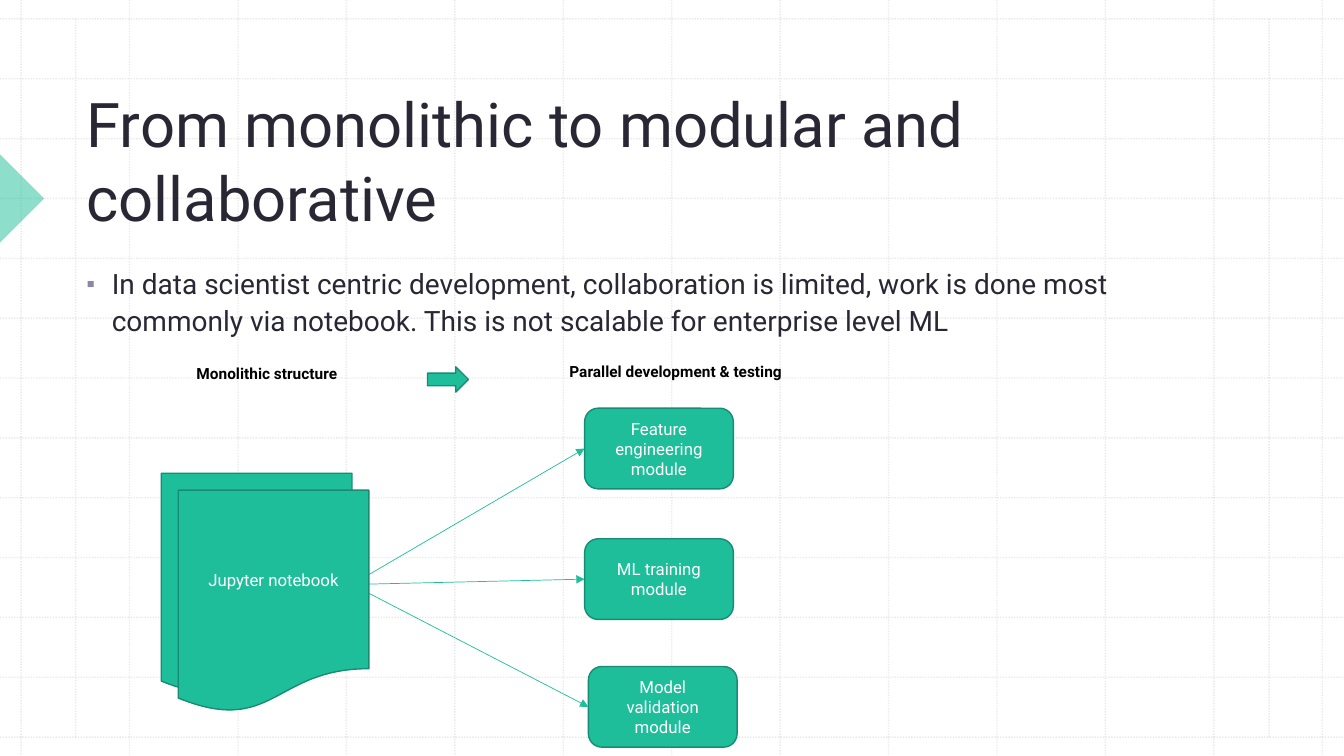
from lxml import etree
from pptx import Presentation
from pptx.dml.color import RGBColor
from pptx.enum import dml, shapes, text
from pptx.oxml import ns
from pptx.util import Pt

WHITE = RGBColor(0xFF, 0xFF, 0xFF)
BLACK = RGBColor(0, 0, 0)
INK = RGBColor(0x2A, 0x27, 0x35)
GREEN = RGBColor(0x1E, 0xBE, 0x9B)
DARK_GREEN = RGBColor(0x16, 0x8D, 0x73)
GRID_GREY = RGBColor(0xBC, 0xBC, 0xBC)
FONT = "Roboto"
WIDTH, HEIGHT = 960, 540
KINDS = shapes.MSO_SHAPE


def add_xml(parent, tag, **attributes):
    return etree.SubElement(parent, ns.qn(tag), attributes)


def set_alpha(fill_parent, percent):
    color = fill_parent.find(".//" + ns.qn("a:srgbClr"))
    add_xml(color, "a:alpha", val=str(percent * 1000))


def write(shape, words, size, color, bold=False, align=text.PP_ALIGN.LEFT,
          anchor=text.MSO_ANCHOR.TOP, bullet=None, indent=0, spacing=None):
    frame = shape.text_frame
    frame.word_wrap = True
    frame.vertical_anchor = anchor
    para = frame.paragraphs[0]
    para.alignment = align
    if spacing:
        para.line_spacing = spacing
    if bullet:
        props = para._p.get_or_add_pPr()
        props.set("marL", str(Pt(indent)))
        props.set("indent", str(-Pt(indent)))
        add_xml(add_xml(props, "a:buClr"), "a:srgbClr", val="8D87A6")
        add_xml(props, "a:buSzPct", val="75000")
        add_xml(props, "a:buFont", typeface=FONT)
        add_xml(props, "a:buChar", char=bullet)
    span = para.add_run()
    span.text = words
    span.font.name = FONT
    span.font.size = Pt(size)
    span.font.bold = bold
    span.font.color.rgb = color


def add_text(page, box, words, size, color, **options):
    write(page.shapes.add_textbox(*map(Pt, box)), words, size, color, **options)


def add_block(page, kind, box, words=None, outline=True):
    shape = page.shapes.add_shape(kind, *map(Pt, box))
    shape.shadow.inherit = False
    shape.fill.solid()
    shape.fill.fore_color.rgb = GREEN
    if outline:
        shape.line.color.rgb = DARK_GREEN
        shape.line.width = Pt(1)
    else:
        shape.line.fill.background()
    if words:
        write(shape, words, 12, WHITE, align=text.PP_ALIGN.CENTER,
              anchor=text.MSO_ANCHOR.MIDDLE)
    return shape


def add_line(page, ends, color, width):
    line = page.shapes.add_connector(shapes.MSO_CONNECTOR.STRAIGHT, *map(Pt, ends))
    line.line.color.rgb = color
    line.line.width = Pt(width)
    add_xml(line._element.spPr, "a:effectLst")
    return line


def draw_backdrop(page, box):
    """Dotted grid and the green pointer on the left edge."""
    left, top, width, height = box
    right, bottom = left + width, top + height
    first_x, step_x, first_y, step_y = 15.1, 77.45, 13.5, 42.75
    last_y = first_y + 12 * step_y
    columns = [left + first_x + i * step_x for i in range(13)]
    rows = [top + first_y + i * step_y for i in range(13)]
    grid = [(x, top, x, bottom) for x in columns]
    grid += [(left, y, right, y) for y in rows]
    grid += [(x, top + first_y, x, top + last_y) for x in (left + 54, right - 53.5)]
    for ends in grid:
        line = add_line(page, ends, GRID_GREY, 1)
        line.line.dash_style = dml.MSO_LINE.ROUND_DOT
        set_alpha(line._element.spPr, 30)

    side = 44.6
    pointer = add_block(page, KINDS.RIGHT_TRIANGLE,
                        (left - side / 2, top + 119.5, side, side), outline=False)
    pointer.rotation = 225
    set_alpha(pointer._element.spPr, 50)


def draw_heading(page, box):
    """Title with the bullet below it."""
    left, top, width, height = box
    title_height = 113.8
    add_text(page, (left, top, width, title_height),
             "From monolithic to modular and collaborative", 44, INK,
             anchor=text.MSO_ANCHOR.BOTTOM)
    body_top = 127.5
    add_text(page, (left, top + body_top, width, height - body_top),
             "In data scientist centric development, collaboration is limited, "
             "work is done most commonly via notebook. This is not scalable for "
             "enterprise level ML", 20, INK, bullet="▪", indent=18, spacing=1.1)


def draw_diagram(page, box):
    """One notebook split into three modules."""
    left, top, width, height = box

    # Notebook at the back, modules and arrows between them
    document = (left, top + 83, 136.2, 159)
    back = add_block(page, KINDS.FLOWCHART_DOCUMENT, document)
    modules = [("Feature engineering module", 302.4, 36.6),
               ("ML training module", 302.4, 129.9),
               ("Model validation module", 305.1, 221.1)]
    for words, x, y in modules:
        module = add_block(page, KINDS.FLOWCHART_ALTERNATE_PROCESS,
                           (left + x, top + y, 106.2, 57.6), words)
        arrow = add_line(page, (0, 0, 0, 0), GREEN, 0.5)
        arrow.begin_connect(back, 3)
        arrow.end_connect(module, 1)
        add_xml(arrow.line._get_or_add_ln(), "a:tailEnd", type="triangle")

    # Column labels
    for words, x, y in [("Parallel development & testing", 284.4, 0),
                        ("Monolithic structure", 18, 1.7)]:
        add_text(page, (left + x, top + y, 203, 20.6), words, 11, BLACK, bold=True)

    # Notebook in front and the arrow between the labels
    offset = 12.1
    add_block(page, KINDS.FLOWCHART_DOCUMENT,
              (document[0] + offset, document[1] + offset, *document[2:]),
              "Jupyter notebook")
    add_block(page, KINDS.RIGHT_ARROW, (left + 190.2, top + 7, 29.2, 18))


def main():
    deck = Presentation()
    deck.slide_width, deck.slide_height = Pt(WIDTH), Pt(HEIGHT)
    page = deck.slides.add_slide(deck.slide_layouts[6])
    page.background.fill.solid()
    page.background.fill.fore_color.rgb = WHITE
    draw_backdrop(page, (0, 0, WIDTH, HEIGHT))
    draw_heading(page, (54.8, 56.9, 812.9, 408.2))
    draw_diagram(page, (115.2, 255, 487.4, 279))
    deck.save("out.pptx")


if __name__ == "__main__":
    main()
